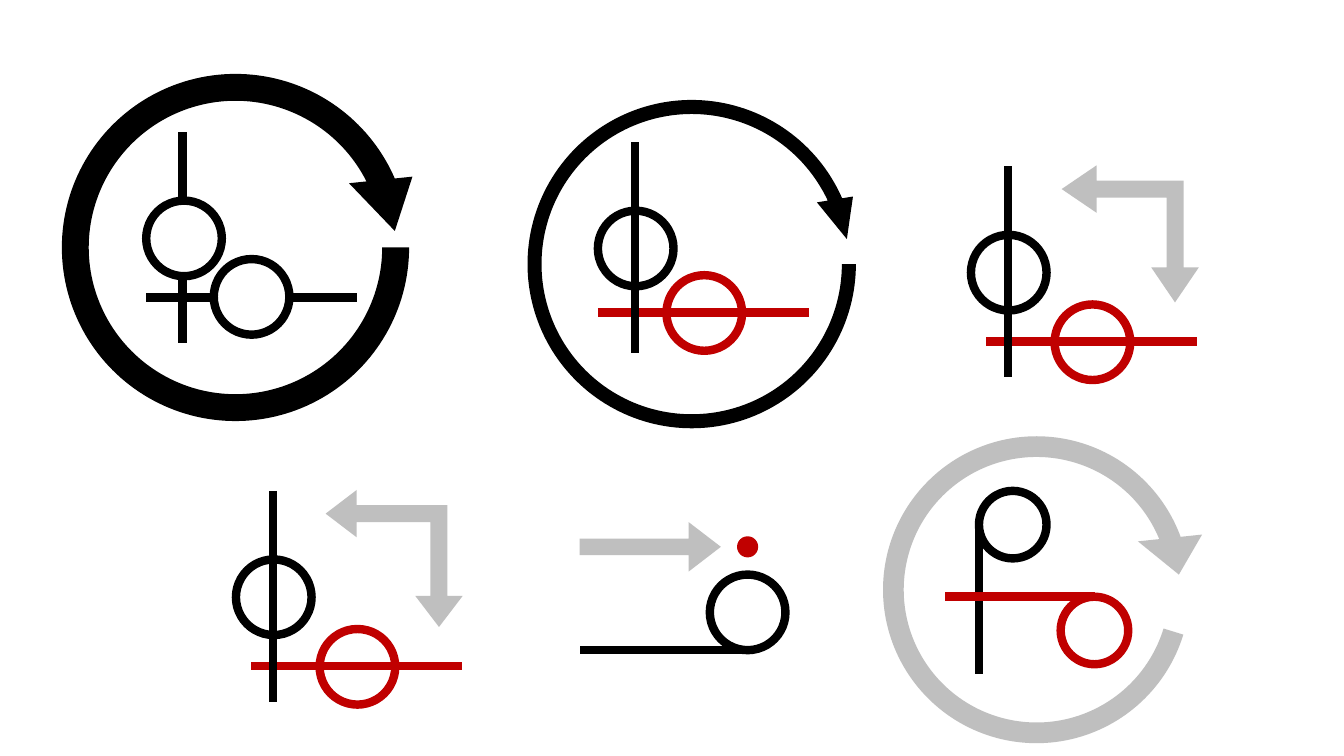
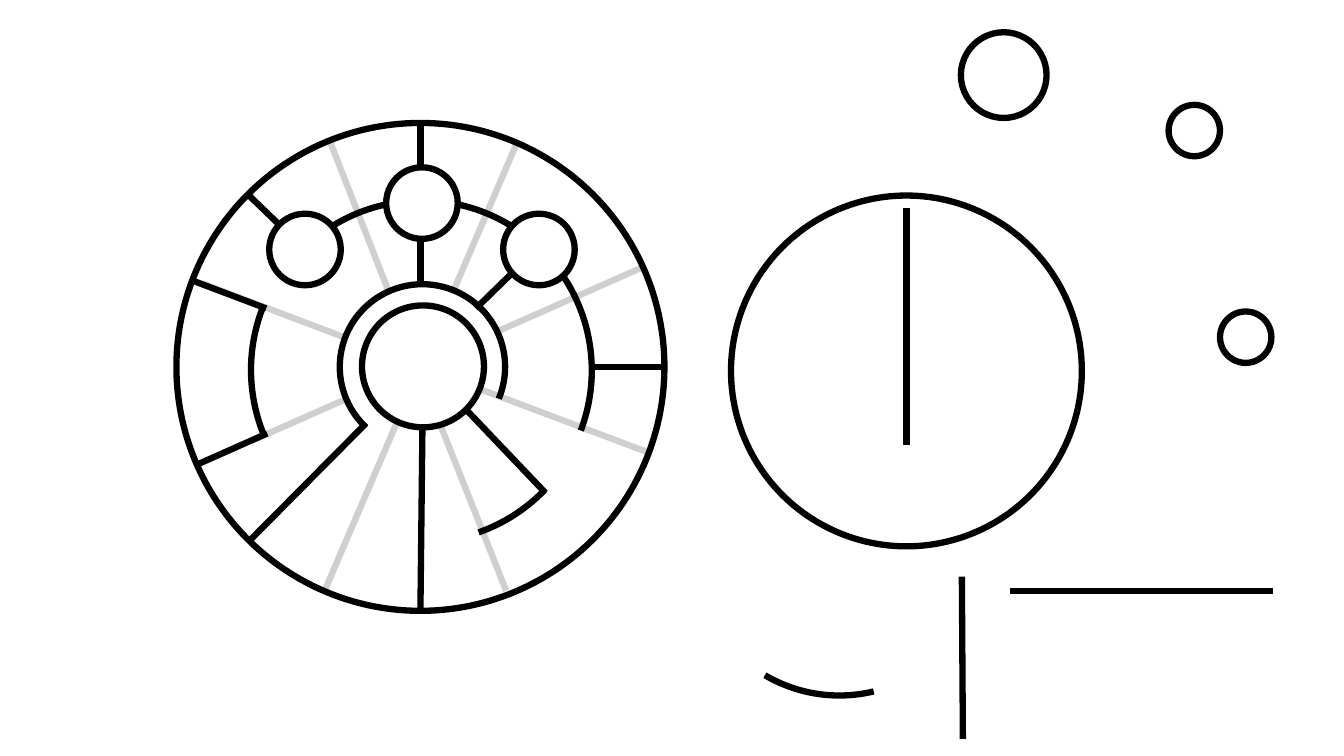
"""Build two slides of line diagrams: pin and rotation marks, then a divided wheel with its parts."""
import lxml.etree
import pptx
import pptx.dml.color
import pptx.enum.shapes
import pptx.oxml.ns
import pptx.util

Inches = pptx.util.Inches
SHAPES = pptx.enum.shapes.MSO_SHAPE

THEME = {
    "ink": "000000",
    "accent": "C00000",
    "motion": "BFBFBF",
    "guide": "D0CECE",
    "paper": "FFFFFF",
    "pin_width": 6,
    "wheel_width": 4.5,
}

PIN_BARS = {
    "upright": [(0.37, -0.68, 0.37, 1.41)],
    "level": [(-0.68, 0.37, 1.41, 0.37)],
    "split upright": [(0.36, -0.68, 0.36, -0.02), (0.36, 0.74, 0.36, 1.41)],
    "split level": [(-0.67, 0.38, -0.01, 0.38), (0.75, 0.38, 1.42, 0.38)],
    "bottom tangent": [(0.37, 0.75, -1.29, 0.75)],
    "side tangent": [(0, 0.33, 0, 1.82)],
    "top tangent": [(0.34, 0, -1.15, 0)],
}

TURN = SHAPES.CIRCULAR_ARROW
CORNER = SHAPES.LEFT_UP_ARROW

PIN_MARKS = [
    ("pin", "level", "accent", 6.61, 2.73, 0.75),
    ("solid", TURN, "ink", (0.43, 0.55, 3.81, 3.81), 180, (0.07, 11.42, 93.03, 108, 0.083)),
    ("pin", "split level", "ink", 2.12, 2.57, 0.75),
    ("pin", "split upright", "ink", 1.45, 1.99, 0.75),
    ("solid", TURN, "ink", (5.12, 0.88, 3.48, 3.48), 180, (0.04, 9.08, 93.42, 108, 0.052)),
    ("pin", "upright", "ink", 5.93, 2.09, 0.75),
    ("pin", "level", "accent", 10.46, 3.02, 0.75),
    ("pin", "upright", "ink", 9.63, 2.33, 0.75),
    ("solid", CORNER, "motion", (10.53, 1.64, 1.36, 1.36), 270, (0.124, 0.173, 0.255)),
    ("pin", "bottom tangent", "ink", 7.04, 5.7, 0.75),
    ("solid", SHAPES.OVAL, "accent", (7.31, 5.32, 0.21, 0.21), 0, ()),
    ("solid", SHAPES.RIGHT_ARROW, "motion", (5.75, 5.18, 1.4, 0.49), 0, (0.333, 0.651)),
    ("pin", "level", "accent", 3.17, 6.24, 0.75),
    ("pin", "upright", "ink", 2.34, 5.55, 0.75),
    ("solid", CORNER, "motion", (3.23, 4.86, 1.36, 1.36), 270, (0.124, 0.173, 0.227)),
    ("solid", TURN, "motion", (8.54, 4.11, 3.48, 3.48), 197, (0.059, 9.08, 85.08, 108, 0.092)),
    ("pin", "side tangent", "ink", 9.71, 4.87, 0.67),
    ("pin", "top tangent", "accent", 10.52, 5.92, 0.67),
]

GUIDES = [
    (3.95, 4.16, 3.22, 5.86),
    (4.35, 4.17, 5.02, 5.86),
    (6.46, 4.5, 4.76, 3.86),
    (6.4, 2.64, 4.93, 3.29),
    (3.45, 3.36, 2, 2.81),
    (3.43, 3.96, 2.48, 4.38),
    (3.26, 1.37, 3.85, 2.88),
    (5.13, 1.41, 4.5, 2.88),
]

WHEEL_MARKS = [
    ("disc", 3.59, 3.03, 1.21),
    ("disc", 2.67, 2.12, 0.71),
    ("ring", 1.75, 1.22, 4.84),
    ("disc", 9.53, 0.32, 0.85),
    ("disc", 11.59, 1.04, 0.51),
    ("disc", 12.1, 3.09, 0.51),
    ("ring", 7.25, 1.94, 3.48),
    ("bar", 8.99, 2.06, 8.99, 4.41),
    ("bar", 10.02, 5.86, 12.63, 5.86),
    ("arc", (2.5, 1.99, 3.37, 3.37), (143.26, 12.44)),
    ("arc", (6.83, 3.82, 2.99, 3.08), (46.32, 71.33)),
    ("arc", (2.49, 1.97, 3.4, 3.4), (94.62, 120.9)),
    ("bar", 6.59, 3.64, 5.88, 3.64),
    ("bar", 4.17, 1.22, 4.17, 2.83),
    ("arc", (3.37, 2.82, 1.64, 1.64), (80.01, 13.57)),
    ("bar", 4.62, 4.06, 5.41, 4.89),
    ("bar", 3.63, 4.2, 2.47, 5.37),
    ("bar", 5.58, 2.22, 4.72, 3.06),
    ("bar", 2.46, 1.93, 2.76, 2.22),
    ("arc", (2.48, 1.98, 3.4, 3.4), (26.4, 42.31)),
    ("bar", 2.64, 3.06, 1.9, 2.78),
    ("bar", 2.65, 4.3, 1.93, 4.62),
    ("disc", 4.99, 2.12, 0.71),
    ("disc", 3.83, 1.66, 0.71),
    ("bar", 9.54, 5.72, 9.55, 7.33),
    ("bar", 4.19, 4.24, 4.17, 6.06),
]


def theme_color(name):
    return pptx.dml.color.RGBColor.from_string(THEME[name])


def set_line(line, color, width):
    line.color.rgb = theme_color(color)
    line.width = pptx.util.Pt(width)


def add_bar(shapes, ends, color, width):
    bar = shapes.add_connector(
        pptx.enum.shapes.MSO_CONNECTOR.STRAIGHT, *(Inches(value) for value in ends)
    )
    set_line(bar.line, color, width)
    lxml.etree.SubElement(bar._element.spPr, pptx.oxml.ns.qn("a:effectLst"))


def add_figure(shapes, kind, box, fill=None, line=None, width=0, rotation=0, adjustments=()):
    shape = shapes.add_shape(kind, *(Inches(value) for value in box))
    shape.shadow.inherit = False
    shape.rotation = rotation
    for index, value in enumerate(adjustments):
        shape.adjustments[index] = value
    if fill:
        shape.fill.solid()
        shape.fill.fore_color.rgb = theme_color(fill)
    else:
        shape.fill.background()
    if line:
        set_line(shape.line, line, width)
    else:
        shape.line.fill.background()


def add_pin(shapes, style, color, left, top, size):
    group = shapes.add_group_shape()
    width = THEME["pin_width"]
    add_figure(group.shapes, SHAPES.OVAL, (left, top, size, size), line=color, width=width)
    for x1, y1, x2, y2 in PIN_BARS[style]:
        ends = (left + x1, top + y1, left + x2, top + y2)
        add_bar(group.shapes, ends, color, width)


def draw_pins(shapes):
    for mark, *values in PIN_MARKS:
        if mark == "pin":
            add_pin(shapes, *values)
        else:
            kind, color, box, rotation, adjustments = values
            add_figure(shapes, kind, box, fill=color, rotation=rotation, adjustments=adjustments)


def draw_wheel(shapes):
    width = THEME["wheel_width"]
    for ends in GUIDES:
        add_bar(shapes, ends, "guide", width)
    outline = {"line": "ink", "width": width}
    for mark, *values in WHEEL_MARKS:
        if mark == "bar":
            add_bar(shapes, values, "ink", width)
        elif mark == "arc":
            box, angles = values
            add_figure(shapes, SHAPES.ARC, box, adjustments=angles, **outline)
        else:
            left, top, size = values
            fill = "paper" if mark == "disc" else None
            add_figure(shapes, SHAPES.OVAL, (left, top, size, size), fill=fill, **outline)


def main():
    presentation = pptx.Presentation()
    size = {"slide_width": Inches(13.33), "slide_height": Inches(7.5)}
    for name, value in size.items():
        setattr(presentation, name, value)
    for draw in (draw_pins, draw_wheel):
        slide = presentation.slides.add_slide(presentation.slide_layouts[6])
        draw(slide.shapes)
    presentation.save("out.pptx")


if __name__ == "__main__":
    main()
